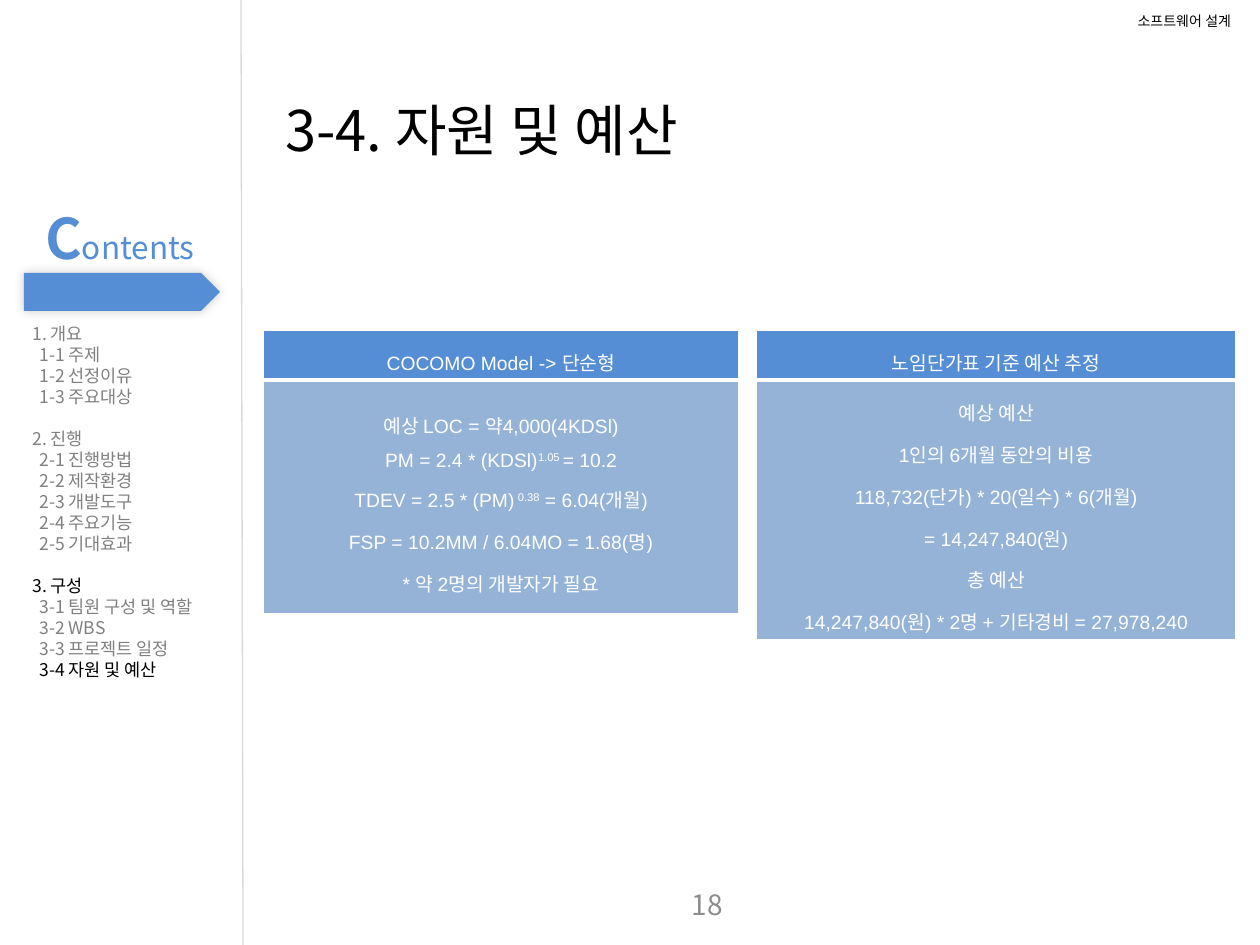
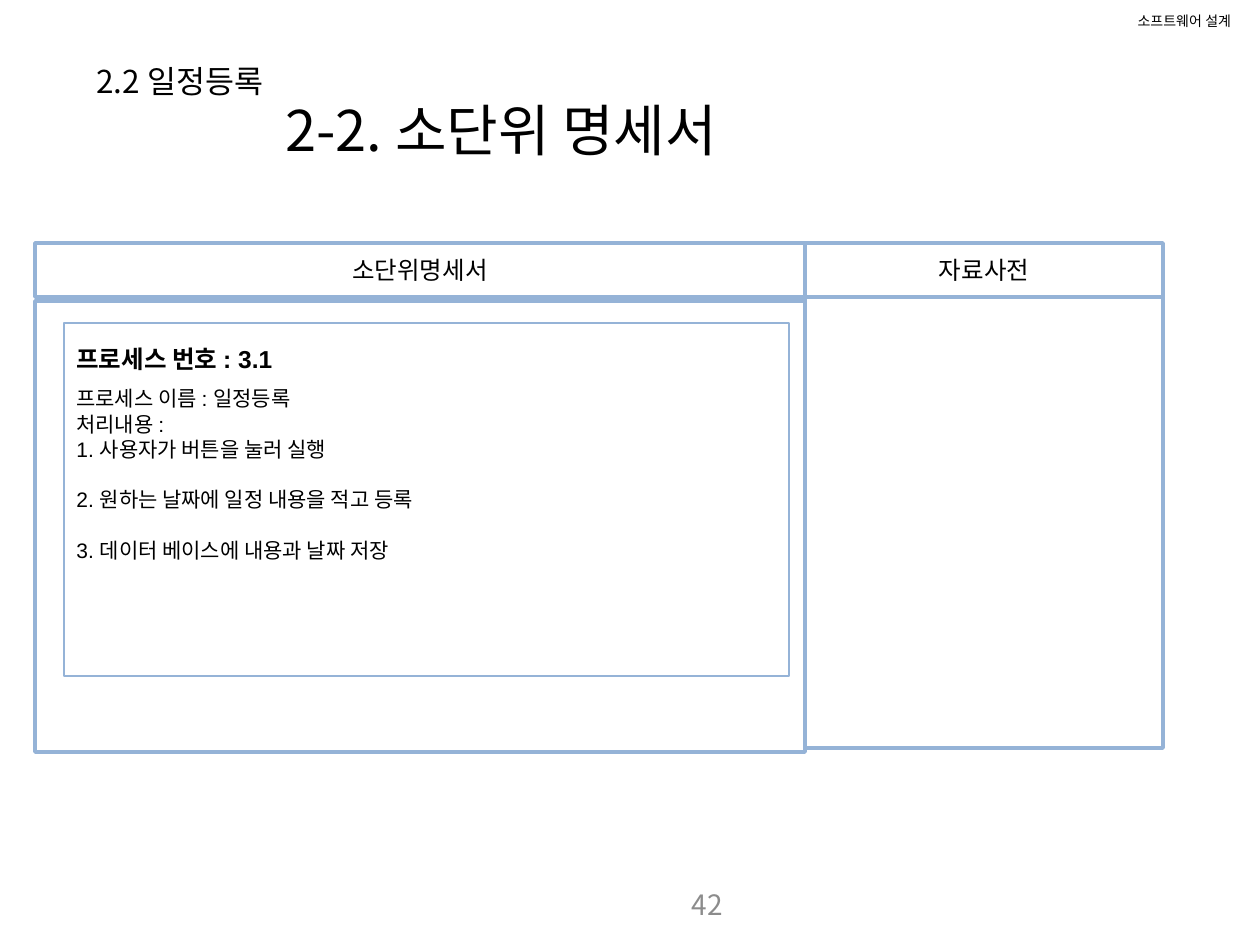
from lxml import etree
from pptx import Presentation
from pptx import util as u
from pptx.dml.color import RGBColor
from pptx.enum import shapes, text
from pptx.oxml import ns

PX = 7258
SANS, ARIAL = "Noto Sans CJK KR", "Arial"
BLUE, LIGHT_BLUE, WHITE, BLACK = "558ED5", "95B3D7", "FFFFFF", "000000"
MUTED, PAGE_GRAY, RULE_GRAY = "808080", "8C8C8C", "D9D9D9"
LEFT, CENTER, RIGHT = text.PP_ALIGN.LEFT, text.PP_ALIGN.CENTER, text.PP_ALIGN.RIGHT
TOP, MIDDLE = text.MSO_ANCHOR.TOP, text.MSO_ANCHOR.MIDDLE

COURSE = "소프트웨어 설계"
BUDGET = {"title": "3-4. 자원 및 예산", "page": "18"}
SPEC = {"title": "2-2. 소단위 명세서", "page": "42"}

CONTENTS = [
    ("1. 개요", ["1-1 주제", "1-2 선정이유", "1-3 주요대상"]),
    ("2. 진행", ["2-1 진행방법", "2-2 제작환경", "2-3 개발도구", "2-4 주요기능", "2-5 기대효과"]),
    ("3. 구성", ["3-1 팀원 구성 및 역할", "3-2 WBS", "3-3 프로젝트 일정", "3-4 자원 및 예산"]),
]
CURRENT = {"3. 구성", "3-4 자원 및 예산"}

ESTIMATES = [
    (263, 476, 234, MIDDLE, "COCOMO Model -> 단순형", [
        ["예상 LOC = 약4,000(4KDSl)"],
        ["PM = 2.4 * (KDSl)", "1.05 ", "= 10.2"],
        ["TDEV = 2.5 * (PM)", " 0.38", " = 6.04(개월)"],
        ["FSP = 10.2MM / 6.04MO = 1.68(명)"],
        ["* 약 2명의 개발자가 필요"],
    ]),
    (756, 480, 260, TOP, "노임단가표 기준 예산 추정", [
        ["예상 예산"],
        ["1인의 6개월 동안의 비용"],
        ["118,732(단가) * 20(일수) * 6(개월)"],
        ["= 14,247,840(원)"],
        ["총 예산"],
        ["14,247,840(원) * 2명 + 기타경비 = 27,978,240"],
    ]),
]
ESTIMATE_TOP, ESTIMATE_HEAD = 330, 50

SECTION = "2.2 일정등록"
SPEC_COLUMNS = [("소단위명세서", 35, 770, 301), ("자료사전", 805, 358, 297)]
SPEC_TOP, SPEC_HEAD, SPEC_BODY = 243, 54, 451
PROCESS_NUMBER = "프로세스 번호 : 3.1"
PROCESS_NAME = "프로세스 이름 : 일정등록"
PROCESS_WORK = "처리내용 :"
PROCESS_STEPS = [
    "1. 사용자가 버튼을 눌러 실행",
    "2. 원하는 날짜에 일정 내용을 적고 등록",
    "3. 데이터 베이스에 내용과 날짜 저장",
]


def color(code):
    return RGBColor.from_string(code)


def px(*lengths):
    return [length * PX for length in lengths]


def set_font(font, size, tint, name=SANS, bold=False):
    font.size, font.name, font.bold = u.Pt(size), name, bold
    font.color.rgb = color(tint)


def write(frame, lines, align=LEFT):
    for index, (words, size, tint, options) in enumerate(lines):
        line = frame.paragraphs[0] if index == 0 else frame.add_paragraph()
        line.alignment = align
        line.line_spacing = options.get("spacing", u.Pt(size * 1.2))
        if index and "before" in options:
            line.space_before = u.Pt(options["before"])
        if "indent" in options:
            line._p.get_or_add_pPr().set("marL", str(options["indent"] * PX))
        set_font(line.font, size, tint, options.get("name", SANS), options.get("bold", False))
        for position, part in enumerate(words):
            run = line.add_run()
            run.text = part
            if position % 2 and options.get("powers"):
                run._r.get_or_add_rPr().set("baseline", "30000")


def add_label(slide, box, lines, align=LEFT, anchor=TOP):
    frame = slide.shapes.add_textbox(*px(*box)).text_frame
    frame.word_wrap = True
    frame.vertical_anchor = anchor
    write(frame, lines, align)
    return frame


def add_box(slide, box, fill=None, line=None, width=2, preset=shapes.MSO_SHAPE.RECTANGLE):
    shape = slide.shapes.add_shape(preset, *px(*box))
    shape.shadow.inherit = False
    if fill:
        shape.fill.solid()
        shape.fill.fore_color.rgb = color(fill)
    else:
        shape.fill.background()
    if line:
        shape.line.color.rgb = color(line)
        shape.line.width = u.Pt(width)
    else:
        shape.line.fill.background()
    return shape


def add_frame(deck, info):
    slide = deck.slides.add_slide(deck.slide_layouts[6])
    add_label(slide, (1125, 6, 129, 30), [([COURSE], 8, BLACK, {})])
    add_label(slide, (273, 89, 534, 81), [([info["title"]], 32, BLACK, {})])
    add_label(slide, (441, 879, 294, 50), [([info["page"]], 16, PAGE_GRAY, {})], RIGHT, MIDDLE)
    return slide


def add_sidebar(slide):
    arrow = add_box(slide, (24, 273, 196, 38), BLUE, preset=shapes.MSO_SHAPE.PENTAGON)
    effects = arrow._element.spPr.find(ns.qn("a:effectLst"))
    glow = etree.SubElement(effects, ns.qn("a:outerShdw"), blurRad=str(u.Pt(6)), dist="0", dir="18900000")
    black = etree.SubElement(glow, ns.qn("a:srgbClr"), val=BLACK)
    etree.SubElement(black, ns.qn("a:alpha"), val="20000")

    heading = add_label(slide, (18, 197, 189, 81), [(["C", "ontents"], 32, BLUE, {})], RIGHT)
    initial, rest = heading.paragraphs[0].runs
    set_font(initial.font, 32, BLUE, bold=True)
    set_font(rest.font, 18, BLUE)

    lines = []
    for chapter, topics in CONTENTS:
        lines.append((chapter, {"before": 12}))
        lines += [(topic, {"indent": 7}) for topic in topics]
    add_label(slide, (20, 317, 286, 373), [
        ([entry], 10, BLACK if entry in CURRENT else MUTED, options) for entry, options in lines])

    rule = slide.shapes.add_connector(shapes.MSO_CONNECTOR.STRAIGHT, *px(243, 945, 241, 0))
    rule.line.color.rgb = color(RULE_GRAY)
    rule.line.width = u.Pt(0.75)
    etree.SubElement(rule._element.spPr, ns.qn("a:effectLst"))


def style_cell(cell, fill, anchor, borders):
    cell.fill.solid()
    cell.fill.fore_color.rgb = color(fill)
    cell.vertical_anchor = anchor
    cell.margin_left, cell.margin_right, cell.margin_top, cell.margin_bottom = px(9, 9, 4, 4)
    properties = cell._tc.get_or_add_tcPr()
    for index, (side, width) in enumerate(zip("LRTB", borders)):
        edge = etree.Element(ns.qn("a:ln" + side), w=str(u.Pt(width)))
        paint = etree.SubElement(edge, ns.qn("a:solidFill"))
        etree.SubElement(paint, ns.qn("a:srgbClr"), val=WHITE)
        properties.insert(index, edge)


def add_estimate(slide, left, width, body, anchor, heading, formulas):
    box = px(left, ESTIMATE_TOP, width, ESTIMATE_HEAD + body)
    table = slide.shapes.add_table(2, 1, *box).table
    table.first_row = table.horz_banding = False
    for row, height in zip(table.rows, (ESTIMATE_HEAD, body)):
        row.height = height * PX
    style = {"spacing": 1.5, "name": ARIAL, "powers": True}
    parts = [([[heading]], BLUE, (1, 1, 1, 3)), (formulas, LIGHT_BLUE, (1, 1, 3, 1))]
    for index, (lines, fill, borders) in enumerate(parts):
        cell = table.cell(index, 0)
        style_cell(cell, fill, anchor, borders)
        write(cell.text_frame, [(line, 11, WHITE, style) for line in lines], CENTER)


def add_specification(slide):
    for heading, left, width, body_top in SPEC_COLUMNS:
        add_box(slide, (left, body_top, width, SPEC_BODY), WHITE, LIGHT_BLUE)
        head = add_box(slide, (left, SPEC_TOP, width, SPEC_HEAD), WHITE, LIGHT_BLUE).text_frame
        head.vertical_anchor = MIDDLE
        head.margin_left, head.margin_right, head.margin_top, head.margin_bottom = px(3, 3, 3, 3)
        write(head, [([heading], 14, BLACK, {})], CENTER)

    process = add_box(slide, (64, 323, 725, 353), line=LIGHT_BLUE, width=0.75).text_frame
    process.word_wrap = True
    process.vertical_anchor = TOP
    lines = [
        ([PROCESS_NUMBER], 14, BLACK, {"name": ARIAL, "bold": True, "spacing": 1.5}),
        ([PROCESS_NAME], 12, BLACK, {"name": ARIAL, "spacing": 1.5}),
        ([PROCESS_WORK], 12, BLACK, {"name": ARIAL}),
    ]
    for index, step in enumerate(PROCESS_STEPS):
        lines.append(([step], 12, BLACK, {"name": ARIAL, "before": 14.4 if index else 0}))
    write(process, lines)


def main():
    deck = Presentation()
    deck.slide_width, deck.slide_height = u.Inches(10), u.Inches(7.5)

    budget = add_frame(deck, BUDGET)
    add_sidebar(budget)
    for estimate in ESTIMATES:
        add_estimate(budget, *estimate)

    spec_slide = add_frame(deck, SPEC)
    add_specification(spec_slide)
    add_label(spec_slide, (84, 56, 486, 50), [([SECTION], 18, BLACK, {})])

    deck.save("out.pptx")


if __name__ == "__main__":
    main()
